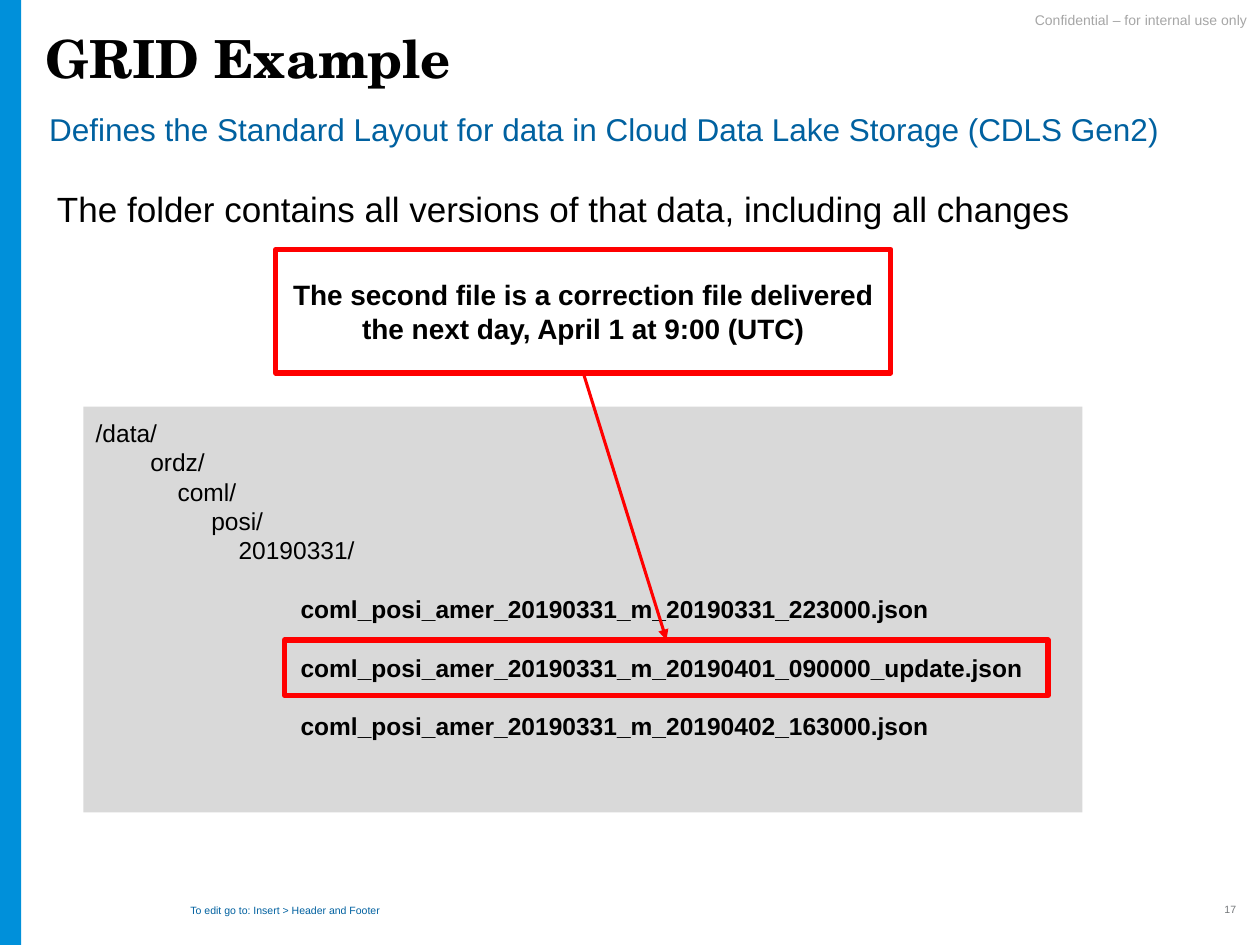
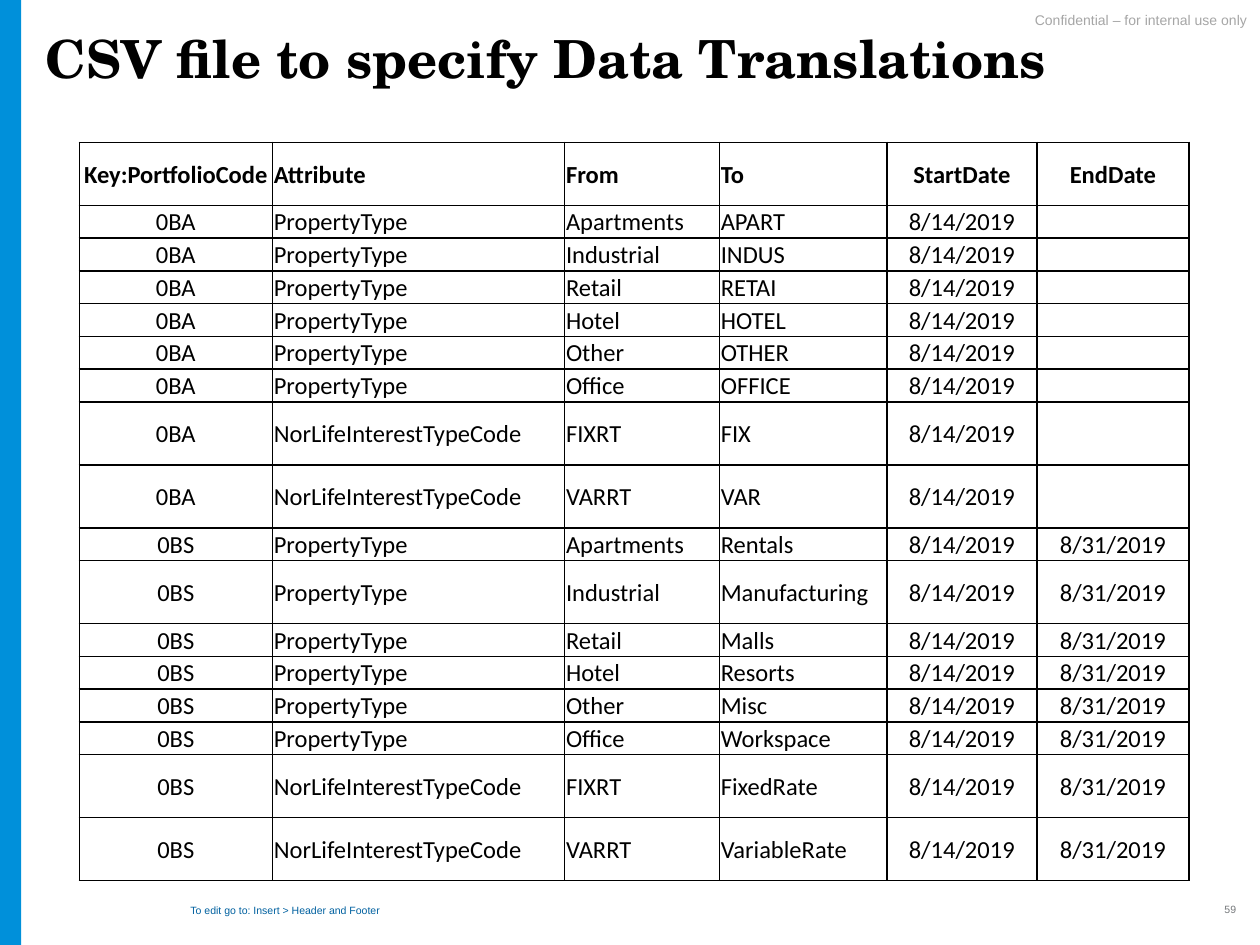
from pptx import Presentation
from pptx.dml.color import RGBColor
from pptx.enum.dml import MSO_LINE
from pptx.enum.shapes import MSO_CONNECTOR, MSO_SHAPE
from pptx.enum.text import MSO_ANCHOR as ANCHOR, MSO_AUTO_SIZE as AUTO_SIZE, PP_ALIGN as ALIGN
from pptx.oxml.ns import qn
from pptx.util import Cm, Pt
from lxml.etree import SubElement, Element

COLORS = {
    "text": "000000",
    "band": "0090DA",
    "accent": "0061A0",
    "notice": "A6A6A6",
    "number": "75787B",
    "panel": "D9D9D9",
    "highlight": "FF0000",
}
BODY_FONT = "Arial"
TITLE_FONT = "TeX Gyre Schola"
TABLE_FONT = "Calibri"
TIGHT = (0.18, 0.1)
WIDE = (0.25, 0)

FOLDER_LINES = [
    ("/data/", 0),
    ("ordz/", 1.1),
    ("coml/", 1.65),
    ("posi/", 2.33),
    ("20190331/", 2.88),
]
FILES = [
    "coml_posi_amer_20190331_m_20190331_223000.json",
    "coml_posi_amer_20190331_m_20190401_090000_update.json",
    "coml_posi_amer_20190331_m_20190402_163000.json",
]
FILE_INDENT = 4.13
FOLDER_PITCH = 16.75

HEADERS = ["Key:PortfolioCode", "Attribute", "From", "To", "StartDate", "EndDate"]
COLUMN_WIDTHS = [3.89, 5.89, 3.12, 3.38, 3.02, 3.07]
CENTERED_COLUMNS = {0, 4, 5}
PROPERTY = "PropertyType"
INTEREST = "NorLifeInterestTypeCode"
SOURCES = [
    (PROPERTY, "Apartments"),
    (PROPERTY, "Industrial"),
    (PROPERTY, "Retail"),
    (PROPERTY, "Hotel"),
    (PROPERTY, "Other"),
    (PROPERTY, "Office"),
    (INTEREST, "FIXRT"),
    (INTEREST, "VARRT"),
]
PORTFOLIOS = [
    ("0BA", "", ["APART", "INDUS", "RETAI", "HOTEL", "OTHER", "OFFICE", "FIX", "VAR"]),
    ("0BS", "8/31/2019", ["Rentals", "Manufacturing", "Malls", "Resorts", "Misc",
                          "Workspace", "FixedRate", "VariableRate"]),
]
START_DATE = "8/14/2019"
TALL_VALUES = {"Key:PortfolioCode", INTEREST, "Manufacturing"}


def color(name):
    return RGBColor.from_string(COLORS[name])


def add_span(para, text, size, tint="text", bold=False, font=BODY_FONT):
    span = para.add_run()
    span.text = text
    span.font.name = font
    span.font.size = Pt(size)
    span.font.bold = bold
    span.font.color.rgb = color(tint)


def set_frame(shape, insets, anchor=ANCHOR.TOP):
    frame = shape.text_frame
    frame.word_wrap = True
    frame.auto_size = AUTO_SIZE.NONE
    frame.vertical_anchor = anchor
    frame.margin_left = frame.margin_right = Cm(insets[0])
    frame.margin_top = frame.margin_bottom = Cm(insets[1])
    return frame


def add_text(slide, place, text, size, tint="text", insets=TIGHT, anchor=ANCHOR.TOP,
             align=ALIGN.LEFT, spacing=None, before=None):
    box = slide.shapes.add_textbox(*map(Cm, place))
    para = set_frame(box, insets, anchor).paragraphs[0]
    para.alignment = align
    para.line_spacing = spacing
    if before:
        para.space_before = Pt(before)
    add_span(para, text, size, tint)
    return box


def add_rectangle(slide, place, fill=None, outline=None):
    box = slide.shapes.add_shape(MSO_SHAPE.RECTANGLE, *map(Cm, place))
    box.shadow.inherit = False
    if fill:
        box.fill.solid()
        box.fill.fore_color.rgb = color(fill)
    else:
        box.fill.background()
    if outline:
        box.line.color.rgb = color(outline)
        box.line.width = Pt(3)
    else:
        box.line.fill.background()
    return box


def add_arrow(slide, start, end):
    arrow = slide.shapes.add_connector(MSO_CONNECTOR.STRAIGHT, 0, 0, 0, 0)
    arrow.begin_connect(start, 2)
    arrow.end_connect(end, 0)
    arrow.line.color.rgb = color("highlight")
    arrow.line.width = Pt(1.75)
    arrow.line.dash_style = MSO_LINE.SOLID
    SubElement(arrow.line._get_or_add_ln(), qn("a:tailEnd"), type="triangle")
    SubElement(arrow._element.spPr, qn("a:effectLst"))


def decorate_layout(layout, slide):
    band = add_rectangle(slide, (0, 0, 0.43, 19.05), fill="band")
    notice = add_text(slide, (17.63, 0.28, 7.77, 0.58), "Confidential – for internal use only",
                      8, "notice", WIDE, align=ALIGN.RIGHT, spacing=0.9)
    for number, shape in enumerate((band, notice), start=20):
        shape._element.nvSpPr.cNvPr.set("id", str(number))
        layout.shapes._spTree.append(shape._element)


def set_title(slide, text):
    title = slide.shapes.title
    title.left, title.top, title.width, title.height = map(Cm, (0.74, 0.56, 24.36, 1.83))
    para = set_frame(title, TIGHT).paragraphs[0]
    para.alignment = ALIGN.LEFT
    para.line_spacing = 0.9
    add_span(para, text, 30, bold=True, font=TITLE_FONT)


def add_footer(slide, number):
    add_text(slide, (3.66, 18.14, 8.59, 0.41), "To edit go to: Insert > Header and Footer",
             6, "accent", anchor=ANCHOR.MIDDLE)
    add_text(slide, (23.22, 17.83, 1.88, 1.02), str(number), 6, "number",
             anchor=ANCHOR.MIDDLE, align=ALIGN.RIGHT)


def add_folder_panel(slide):
    panel = add_rectangle(slide, (1.68, 8.2, 20.14, 8.18), fill="panel")
    frame = set_frame(panel, (0.25, 0.23))
    lines = FOLDER_LINES + [(name, FILE_INDENT) for name in FILES]
    for index, (text, indent) in enumerate(lines):
        para = frame.add_paragraph() if index else frame.paragraphs[0]
        is_file = text in FILES
        para.alignment = ALIGN.LEFT
        para.line_spacing = Pt(FOLDER_PITCH)
        para.space_before = Pt(FOLDER_PITCH if is_file else 0)
        para._p.get_or_add_pPr().set("marL", str(Cm(indent)))
        add_span(para, text, 14, bold=is_file)


def add_callout(slide):
    callout = add_rectangle(slide, (5.56, 5.03, 12.4, 2.49), outline="highlight")
    para = set_frame(callout, WIDE, ANCHOR.MIDDLE).paragraphs[0]
    para.alignment = ALIGN.CENTER
    add_span(para, "The second file is a correction file delivered the next day, "
                   "April 1 at 9:00 (UTC)", 16, bold=True)
    return callout


def set_borders(cell):
    properties = cell._tc.get_or_add_tcPr()
    for index, side in enumerate(("lnL", "lnR", "lnT", "lnB")):
        border = Element(qn(f"a:{side}"), w=str(Pt(1)))
        fill = SubElement(border, qn("a:solidFill"))
        SubElement(fill, qn("a:srgbClr"), val=COLORS["text"])
        properties.insert(index, border)


def fill_cell(cell, text, centered, bold):
    cell.fill.background()
    cell.vertical_anchor = ANCHOR.MIDDLE
    cell.margin_left = cell.margin_right = cell.margin_top = Cm(0.03)
    cell.margin_bottom = 0
    set_borders(cell)
    para = cell.text_frame.paragraphs[0]
    para.alignment = ALIGN.CENTER if centered else ALIGN.LEFT
    if text:
        add_span(para, text, 14, bold=bold, font=TABLE_FONT)
    else:
        para._p.get_or_add_endParaRPr().set("sz", "1400")


def add_translation_table(slide):
    rows = [HEADERS]
    for code, end_date, targets in PORTFOLIOS:
        for (attribute, source), target in zip(SOURCES, targets):
            rows.append([code, attribute, source, target, START_DATE, end_date])
    heights = [1.27 if TALL_VALUES & set(row) else 0.66 for row in rows]
    table = slide.shapes.add_table(len(rows), len(HEADERS), Cm(1.6), Cm(2.87),
                                   Cm(sum(COLUMN_WIDTHS)), Cm(sum(heights))).table
    table.first_row = table.horz_banding = False
    for column, width in zip(table.columns, COLUMN_WIDTHS):
        column.width = Cm(width)
    for row_index, (row, height) in enumerate(zip(rows, heights)):
        table.rows[row_index].height = Cm(height)
        for column_index, text in enumerate(row):
            fill_cell(table.cell(row_index, column_index), text,
                      column_index in CENTERED_COLUMNS, row_index == 0)


def build_grid_slide(slide):
    set_title(slide, "GRID Example")
    add_text(slide, (0.74, 2.13, 23.85, 0.86),
             "Defines the Standard Layout for data in Cloud Data Lake Storage (CDLS Gen2)",
             18, "accent", WIDE, ANCHOR.BOTTOM, spacing=1.4, before=7.5)
    add_text(slide, (0.97, 3.35, 22.86, 2.57),
             "The folder contains all versions of that data, including all changes",
             20, spacing=1.4, before=7.5)
    add_folder_panel(slide)
    update_frame = add_rectangle(slide, (5.74, 12.9, 15.39, 1.12), outline="highlight")
    callout = add_callout(slide)
    add_arrow(slide, callout, update_frame)
    add_footer(slide, 17)


def build_translation_slide(slide):
    set_title(slide, "CSV file to specify Data Translations")
    add_translation_table(slide)
    add_footer(slide, 59)


def main():
    deck = Presentation()
    deck.slide_width, deck.slide_height = Cm(25.4), Cm(19.05)
    layout = deck.slide_layouts[5]
    grid_slide = deck.slides.add_slide(layout)
    translation_slide = deck.slides.add_slide(layout)
    decorate_layout(layout, grid_slide)
    build_grid_slide(grid_slide)
    build_translation_slide(translation_slide)
    deck.save("out.pptx")


if __name__ == "__main__":
    main()
